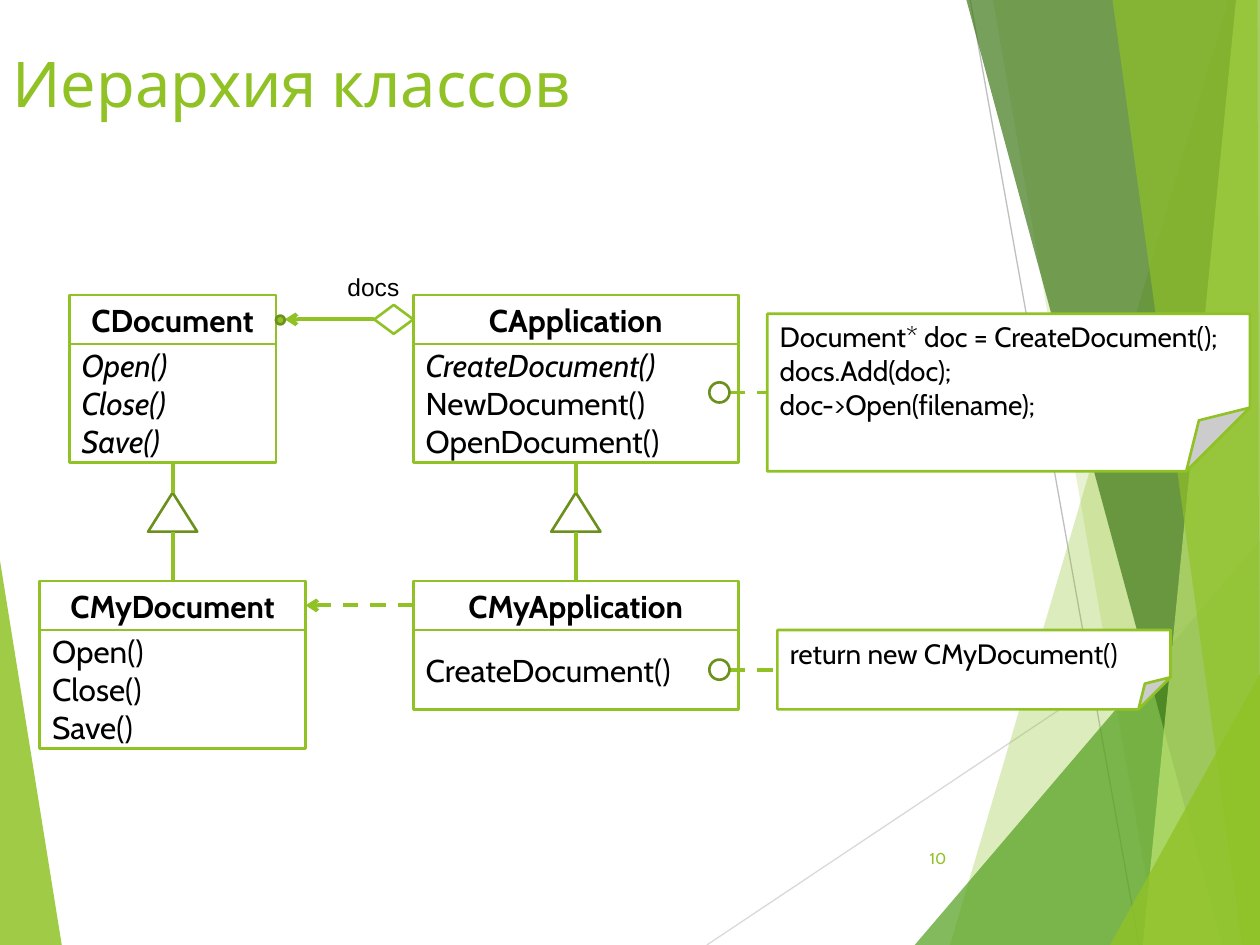
from lxml.etree import SubElement
from pptx import Presentation
from pptx.dml.color import RGBColor
from pptx.enum.dml import MSO_LINE
from pptx.enum.shapes import MSO_CONNECTOR, MSO_SHAPE as SHAPE
from pptx.enum.text import MSO_ANCHOR as ANCHOR, PP_ALIGN as ALIGN
from pptx.oxml.ns import qn
from pptx.util import Inches, Pt

GREEN = RGBColor(0x90, 0xC2, 0x26)
OLIVE = RGBColor(0x6B, 0x90, 0x1C)
LEAF = RGBColor(0x54, 0xA0, 0x21)
FOREST = RGBColor(0x3F, 0x78, 0x19)
LIME = RGBColor(0xC0, 0xE4, 0x74)
GREY = RGBColor(0xBF, 0xBF, 0xBF)
PALE_GREY = RGBColor(0xD9, 0xD9, 0xD9)
WHITE = RGBColor(0xFF, 0xFF, 0xFF)
BLACK = RGBColor(0, 0, 0)

W, H = 10, 7.5
prs = Presentation()
prs.slide_width, prs.slide_height = Inches(W), Inches(H)
s = prs.slides.add_slide(prs.slide_layouts[5])


def add_box(kind, x, y, w, h, lines=(), size=18, fill=WHITE, line=GREEN,
            anchor=ANCHOR.MIDDLE, align=ALIGN.LEFT, bold=False, italics=0,
            font="Cabin", color=BLACK):
    """Add a preset shape, or a text box if kind is None; the first `italics` lines slant."""
    frame = [Inches(v) for v in (x, y, w, h)]
    if kind is None:
        sp = s.shapes.add_textbox(*frame)
    else:
        sp = s.shapes.add_shape(kind, *frame)
        sp.shadow.inherit = False
        if fill is None:
            sp.fill.background()
        else:
            sp.fill.solid()
            sp.fill.fore_color.rgb = fill
        sp.line.color.rgb = line
        sp.line.width = Pt(1.5)
    tf = sp.text_frame
    tf.word_wrap = True
    tf.vertical_anchor = anchor
    if lines:
        tf.text = "\n".join(lines)
    for i, p in enumerate(tf.paragraphs):
        p.alignment = align
        p.font.name, p.font.size = font, Pt(size)
        p.font.bold, p.font.italic = bold, i < italics
        p.font.color.rgb = color
    return sp


def add_line(x1, y1, x2, y2, color=GREEN, width=2.25, dashed=False, arrow=False):
    c = s.shapes.add_connector(MSO_CONNECTOR.STRAIGHT, Inches(x1), Inches(y1),
                               Inches(x2), Inches(y2))
    c.line.color.rgb = color
    c.line.width = Pt(width)
    if dashed:
        c.line.dash_style = MSO_LINE.DASH
    if arrow:
        SubElement(c.line._get_or_add_ln(), qn("a:tailEnd"), type="arrow")
    SubElement(c._element.spPr, qn("a:effectLst"))
    return c


# Background: two thin lines and translucent facets
add_line(5.61, H, W, 4.57, PALE_GREY, 0.75)
add_line(7.7, 0, 9.04, H, GREY, 0.75)
facets = [
    (GREEN, 85, [(0, 4.45), (0.49, H), (0, H)]),
    (GREEN, 30, [(9.75, 0), (7.54, H), (W, H), (W, 0)]),
    (GREEN, 20, [(7.88, 0), (9.19, H), (W, H), (W, 0)]),
    (LEAF, 72, [(7.26, H), (W, 4.29), (W, H)]),
    (FOREST, 70, [(7.67, 0), (9.7, H), (W, H), (W, 0)]),
    (LIME, 70, [(9.81, 0), (9.07, H), (W, H), (W, 0)]),
    (GREEN, 65, [(8.83, 0), (9.86, H), (W, H), (9.98, 0)]),
    (GREEN, 80, [(8.81, H), (W, 5.35), (W, H)]),
]
for color, opacity, corners in facets:
    points = [(Inches(x), Inches(y)) for x, y in corners]
    builder = s.shapes.build_freeform(*points[0])
    builder.add_line_segments(points[1:], close=True)
    sp = builder.convert_to_shape()
    sp.shadow.inherit = False
    sp.line.fill.background()
    sp.fill.solid()
    sp.fill.fore_color.rgb = color
    SubElement(sp.fill._xPr.find(".//" + qn("a:srgbClr")), qn("a:alpha"),
               val=str(opacity * 1000))

# Title, moved above the background
title = s.shapes.title
title.left, title.top, title.width, title.height = [Inches(v) for v in (0, 0.3, 9, 1.25)]
title.text = "Иерархия классов"
title.text_frame.vertical_anchor = ANCHOR.TOP
p = title.text_frame.paragraphs[0]
p.alignment = ALIGN.LEFT
p.font.name, p.font.size, p.font.color.rgb = "Cabin", Pt(36), GREEN
s.shapes._spTree.append(title._element)

# Classes: a name box above a methods box
BASE_Y, DERIVED_Y, NAME_H = 2.34, 4.61, 0.39
DOC_X, APP_X, APP_W = 1.37, 4.57, 2.58   # column centres, application width
APP_LEFT = APP_X - APP_W / 2
classes = [
    ("CDocument", DOC_X, BASE_Y, 1.64, 0.94, ["Open()", "Close()", "Save()"], 3),
    ("CApplication", APP_X, BASE_Y, APP_W, 0.94,
     ["CreateDocument()", "NewDocument()", "OpenDocument()"], 1),
    ("CMyDocument", DOC_X, DERIVED_Y, 2.11, 0.94, ["Open()", "Close()", "Save()"], 0),
    ("CMyApplication", APP_X, DERIVED_Y, APP_W, 0.63, ["CreateDocument()"], 0),
]
names, methods = {}, {}
for name, cx, y, w, h, lines, italics in classes:
    x = cx - w / 2
    names[name] = add_box(SHAPE.RECTANGLE, x, y, w, NAME_H, [name],
                          align=ALIGN.CENTER, bold=True)
    methods[name] = add_box(SHAPE.RECTANGLE, x, y + NAME_H, w, h, lines, italics=italics)

# Inheritance: triangle between base and derived class
TRI_Y, TRI_W, TRI_H = 3.91, 0.39, 0.31
for cx, base, derived in [(DOC_X, "CDocument", "CMyDocument"),
                          (APP_X, "CApplication", "CMyApplication")]:
    add_box(SHAPE.ISOSCELES_TRIANGLE, cx - TRI_W / 2, TRI_Y, TRI_W, TRI_H,
            fill=None, line=OLIVE)
    add_line(cx, 3.67, cx, TRI_Y).begin_connect(methods[base], 2)
    add_line(cx, TRI_Y + TRI_H, cx, DERIVED_Y).end_connect(names[derived], 0)

# Aggregation of documents and creation of the derived document
name_mid = BASE_Y + NAME_H / 2
add_box(SHAPE.DIAMOND, APP_LEFT - 0.31, name_mid - 0.115, 0.31, 0.23)
add_line(APP_LEFT - 0.31, name_mid, 2.26, name_mid, arrow=True)
add_box(SHAPE.OVAL, 2.19, name_mid - 0.03, 0.07, 0.07, fill=GREEN, line=OLIVE)
add_box(None, 2.66, 2.11, 0.7, 0.34, ["docs"], 14, anchor=ANCHOR.TOP, font="Arial")
creates = add_line(APP_LEFT, 4.8, 2.42, 4.8, dashed=True, arrow=True)
creates.begin_connect(names["CMyApplication"], 1)
creates.end_connect(names["CMyDocument"], 3)

# Code notes, each tied to a method by a ring and a dashed line
RING_X, RING = 5.63, 0.16
notes = [
    (6.09, 2.49, 3.83, 1.25, ["Document* doc = CreateDocument();", "docs.Add(doc);",
                              "doc->Open(filename);"]),
    (6.17, 5, 3.12, 0.63, ["return new CMyDocument()"]),
]
for x, y, w, h, lines in notes:
    note = add_box(SHAPE.FOLDED_CORNER, x, y, w, h, lines, 16, anchor=ANCHOR.TOP)
    fold = note._element.spPr.find(".//" + qn("a:avLst"))
    for guide in list(fold):
        fold.remove(guide)
    SubElement(fold, qn("a:gd"), name="adj", fmla="val 40400")
    mid = y + h / 2
    add_line(RING_X + RING, mid, x, mid, dashed=True).end_connect(note, 1)
    add_box(SHAPE.OVAL, RING_X, mid - RING / 2, RING, RING, fill=None, line=OLIVE)

# Slide number
add_box(None, 7.05, 6.61, 0.56, 0.4, ["10"], 9, align=ALIGN.RIGHT, color=GREEN)

prs.save("out.pptx")
